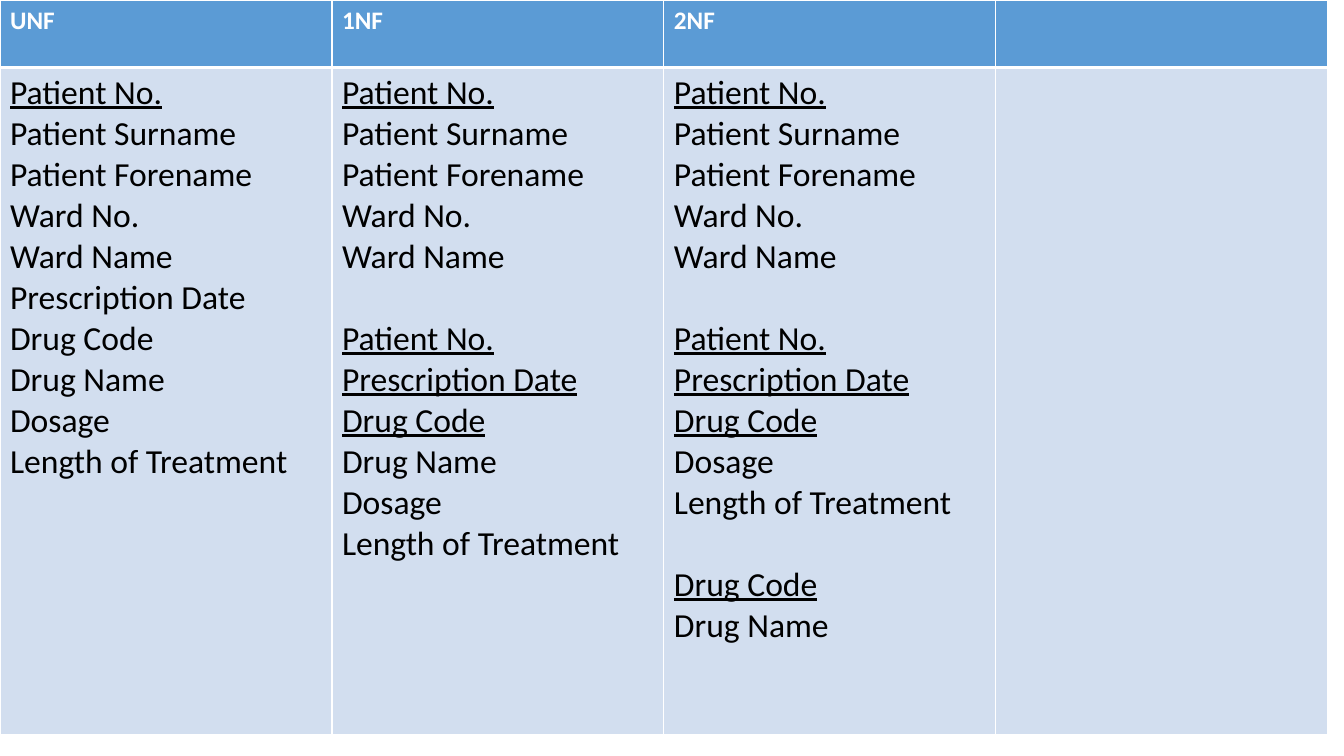
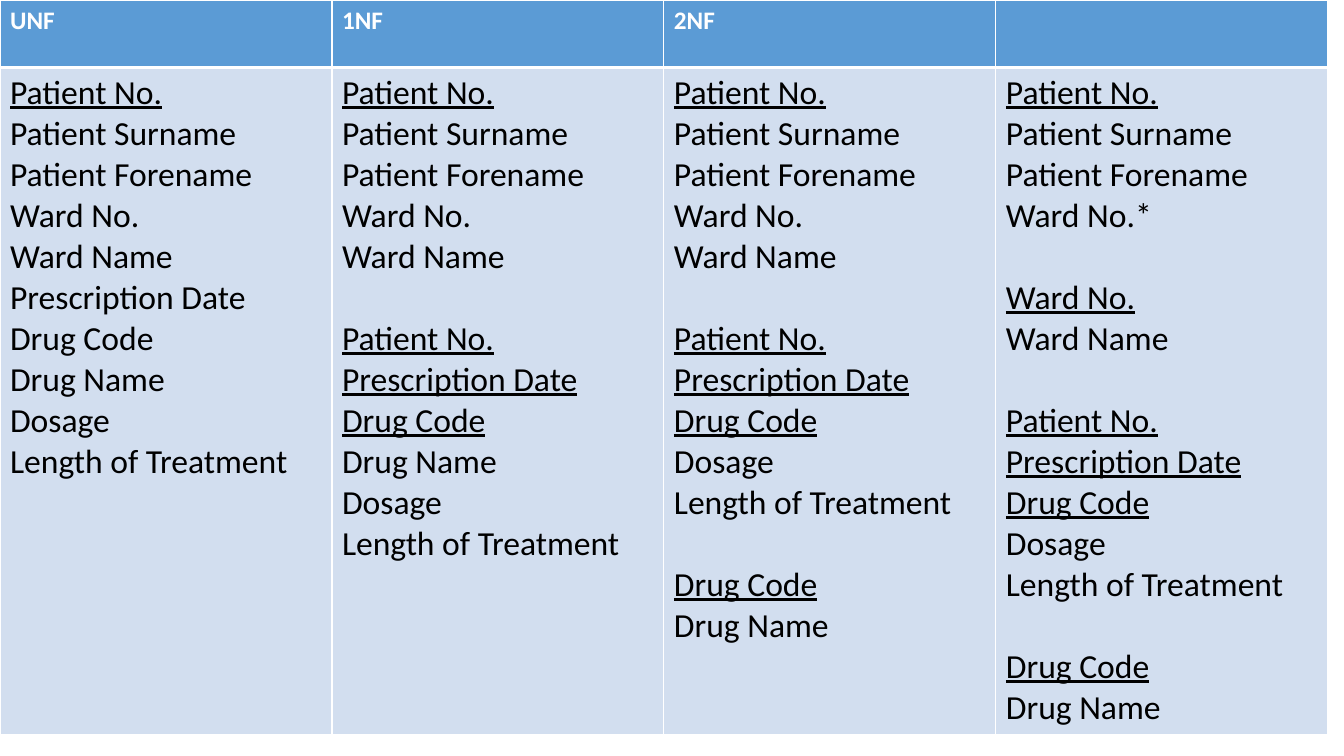
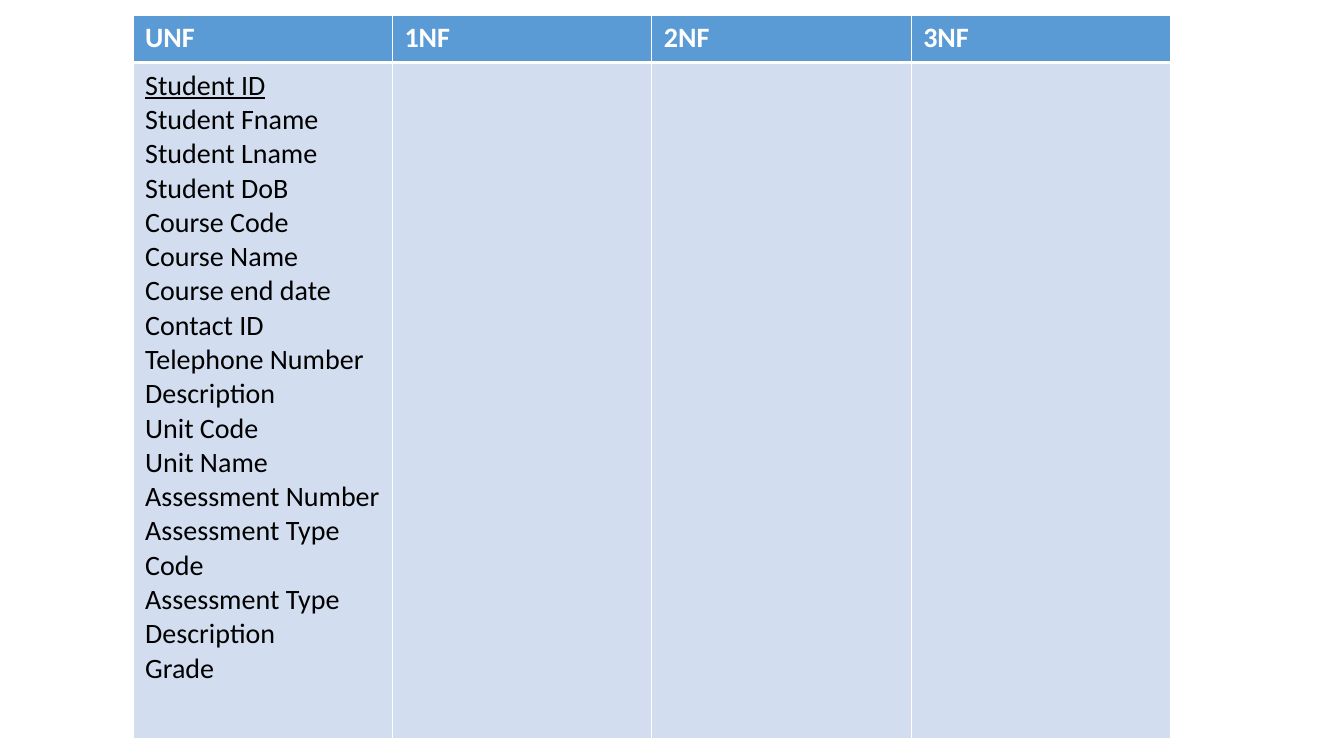
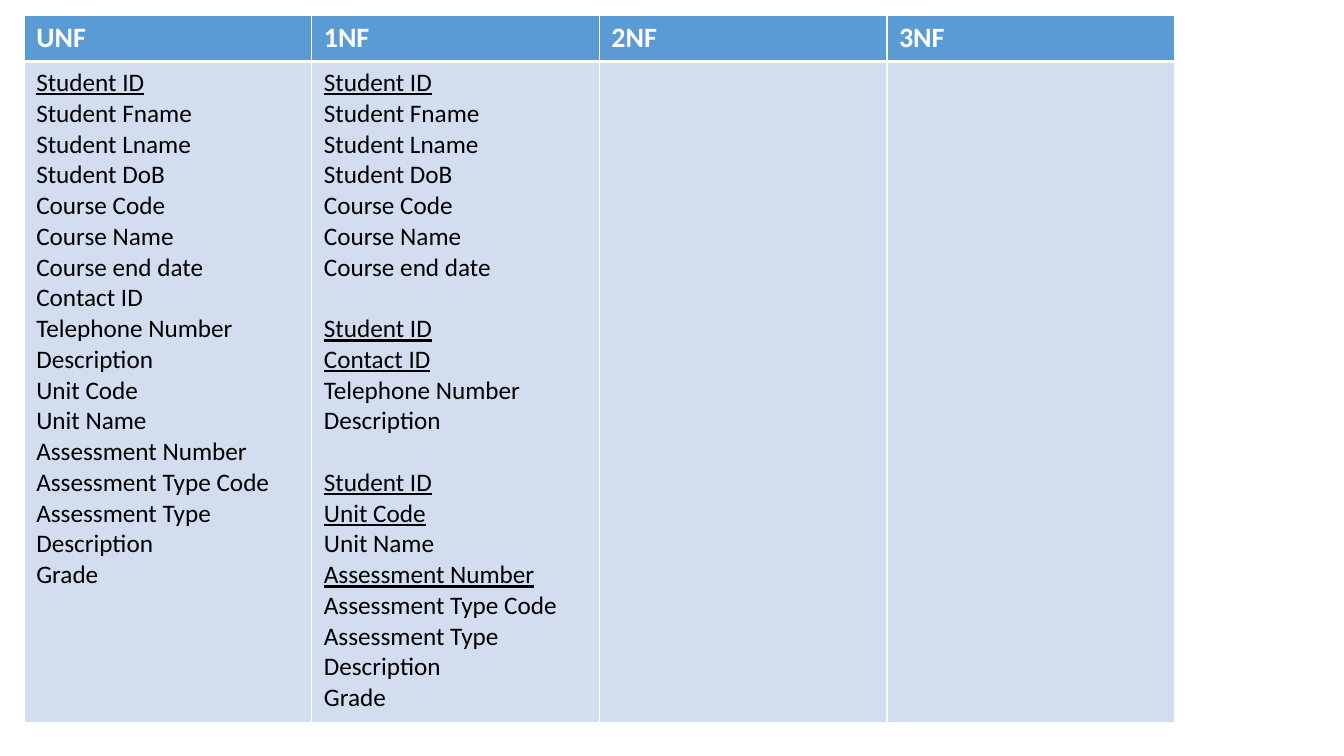
import dataclasses

import lxml.etree
import pptx
import pptx.dml.color
import pptx.oxml.ns
import pptx.util

Inches = pptx.util.Inches
Pt = pptx.util.Pt


@dataclasses.dataclass(frozen=True)
class Theme:
    font: str = "Calibri"
    header_fill: str = "5B9BD5"
    header_text: str = "FFFFFF"
    body_fill: str = "D2DEEF"
    body_text: str = "000000"
    rule: str = "FFFFFF"
    thin: float = 1
    thick: float = 3
    small: int = 18
    medium: int = 20
    large: int = 24
    line_height: float = 1.22


THEME = Theme()


@dataclasses.dataclass(frozen=True)
class Relation:
    """Attributes of one relation; those in keys are underlined."""
    attributes: tuple
    keys: tuple


@dataclasses.dataclass(frozen=True)
class Sheet:
    """Box, row heights, margins and type sizes of one normalisation table."""
    left: float
    top: float
    width: float
    header_height: float
    body_height: float
    margin_x: float
    margin_y: float
    header_size: int
    body_size: int


# Hospital example
PATIENT_KEY = ("Patient No.",)
PATIENT = ("Patient No.", "Patient Surname", "Patient Forename")
WARD = ("Ward No.", "Ward Name")
TREATMENT = ("Dosage", "Length of Treatment")
PRESCRIPTION_KEY = ("Patient No.", "Prescription Date", "Drug Code")

patient_ward = Relation(PATIENT + WARD, PATIENT_KEY)
prescription = Relation(PRESCRIPTION_KEY + TREATMENT, PRESCRIPTION_KEY)
drug = Relation(("Drug Code", "Drug Name"), ("Drug Code",))

HOSPITAL_UNF = [Relation(
    PATIENT + WARD + ("Prescription Date", "Drug Code", "Drug Name") + TREATMENT,
    PATIENT_KEY)]
HOSPITAL_1NF = [patient_ward, Relation(
    PRESCRIPTION_KEY + ("Drug Name",) + TREATMENT, PRESCRIPTION_KEY)]
HOSPITAL_2NF = [patient_ward, prescription, drug]
HOSPITAL_3NF = [
    Relation(PATIENT + ("Ward No.*",), PATIENT_KEY),
    Relation(WARD, ("Ward No.",)),
    prescription,
    drug,
]

# College example
STUDENT_KEY = ("Student ID",)
STUDENT = ("Student ID", "Student Fname", "Student Lname", "Student DoB",
           "Course Code", "Course Name", "Course end date")
CONTACT = ("Contact ID", "Telephone Number", "Description")
UNIT = ("Unit Code", "Unit Name", "Assessment Number", "Assessment Type Code",
        "Assessment Type Description", "Grade")

COLLEGE_UNF = [Relation(STUDENT + CONTACT + UNIT, STUDENT_KEY)]
COLLEGE_1NF = [
    Relation(STUDENT, STUDENT_KEY),
    Relation(STUDENT_KEY + CONTACT, STUDENT_KEY + ("Contact ID",)),
    Relation(STUDENT_KEY + UNIT,
             STUDENT_KEY + ("Unit Code", "Assessment Number")),
]

# Headings and table layouts
HOSPITAL_FORMS = ("UNF", "1NF", "2NF", "")
COLLEGE_FORMS = ("UNF", "1NF", "2NF", "3NF")

HOSPITAL_SHEET = Sheet(0, 0, 13.17, 0.67, 6.62, 0.1, 0.05,
                       THEME.small, THEME.large)
COLLEGE_SHEET = Sheet(1.32, 0.15, 10.29, 0.47, 6.71, 0.12, 0.06,
                      THEME.medium, THEME.medium)
COLLEGE_WIDE_SHEET = Sheet(0.24, 0.15, 11.41, 0.42, 6.56, 0.12, 0.06,
                           THEME.medium, THEME.small)

SLIDES = [
    (HOSPITAL_SHEET, HOSPITAL_FORMS,
     (HOSPITAL_UNF, HOSPITAL_1NF, HOSPITAL_2NF, [])),
    (HOSPITAL_SHEET, HOSPITAL_FORMS,
     (HOSPITAL_UNF, HOSPITAL_1NF, HOSPITAL_2NF, HOSPITAL_3NF)),
    (COLLEGE_SHEET, COLLEGE_FORMS, (COLLEGE_UNF, [], [], [])),
    (COLLEGE_WIDE_SHEET, COLLEGE_FORMS, (COLLEGE_UNF, COLLEGE_1NF, [], [])),
]


def rgb(value):
    return pptx.dml.color.RGBColor.from_string(value)


def style_cell(cell, sheet, fill, top, bottom):
    """Set margins, borders and fill; top and bottom are border widths."""
    cell.margin_left = cell.margin_right = Inches(sheet.margin_x)
    cell.margin_top = cell.margin_bottom = Inches(sheet.margin_y)
    qn = pptx.oxml.ns.qn
    properties = cell._tc.get_or_add_tcPr()
    edges = {"L": THEME.thin, "R": THEME.thin, "T": top, "B": bottom}
    for side, width in edges.items():
        edge = lxml.etree.SubElement(properties, qn("a:ln" + side),
                                     w=str(Pt(width)))
        paint = lxml.etree.SubElement(edge, qn("a:solidFill"))
        lxml.etree.SubElement(paint, qn("a:srgbClr"), val=THEME.rule)
    cell.fill.solid()
    cell.fill.fore_color.rgb = rgb(fill)


def style_paragraph(paragraph, size, color, bold=False, underline=False):
    font = paragraph.font
    font.name = THEME.font
    font.size = Pt(size)
    font.color.rgb = rgb(color)
    font.bold = bold
    font.underline = underline


def write_relations(cell, relations, size):
    """List the attributes, with a gap of one line between relations."""
    frame = cell.text_frame
    paragraph = frame.paragraphs[0]
    style_paragraph(paragraph, size, THEME.body_text)
    for number, relation in enumerate(relations):
        for position, attribute in enumerate(relation.attributes):
            if number or position:
                paragraph = frame.add_paragraph()
            paragraph.text = attribute
            style_paragraph(paragraph, size, THEME.body_text,
                            underline=attribute in relation.keys)
            if number and not position:
                paragraph.space_before = Pt(round(size * THEME.line_height, 1))


def add_normal_forms(slide, sheet, forms, columns):
    table = slide.shapes.add_table(
        2, len(forms), Inches(sheet.left), Inches(sheet.top),
        Inches(sheet.width),
        Inches(sheet.header_height + sheet.body_height)).table
    table.horz_banding = False
    table.rows[0].height = Inches(sheet.header_height)
    table.rows[1].height = Inches(sheet.body_height)

    for index, (form, relations) in enumerate(zip(forms, columns)):
        # Heading
        heading = table.cell(0, index)
        style_cell(heading, sheet, THEME.header_fill, THEME.thin, THEME.thick)
        heading.text = form
        style_paragraph(heading.text_frame.paragraphs[0], sheet.header_size,
                        THEME.header_text, bold=True)
        # Relations in this form
        body = table.cell(1, index)
        style_cell(body, sheet, THEME.body_fill, THEME.thick, THEME.thin)
        write_relations(body, relations, sheet.body_size)


def main():
    deck = pptx.Presentation()
    deck.slide_width = Inches(13.33)
    deck.slide_height = Inches(7.5)
    blank = deck.slide_layouts.get_by_name("Blank")
    for sheet, forms, columns in SLIDES:
        add_normal_forms(deck.slides.add_slide(blank), sheet, forms, columns)
    deck.save("out.pptx")


if __name__ == "__main__":
    main()
